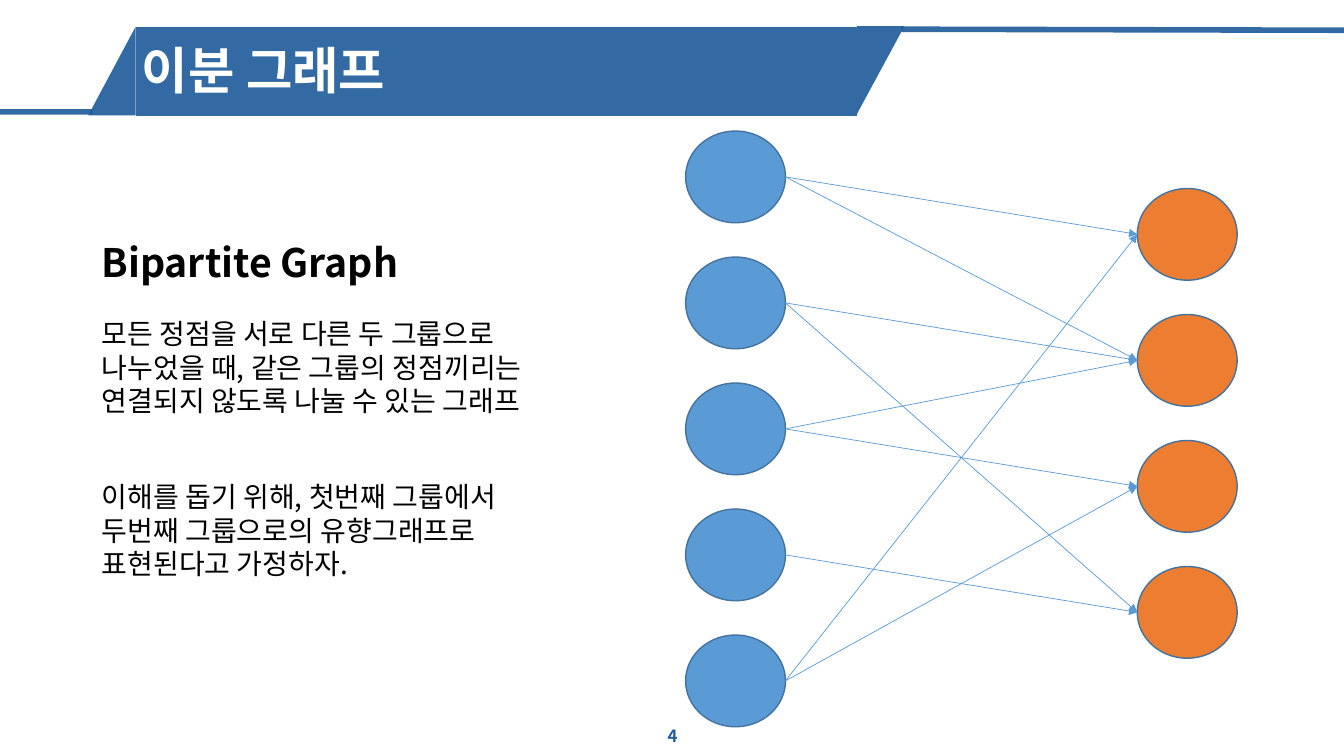
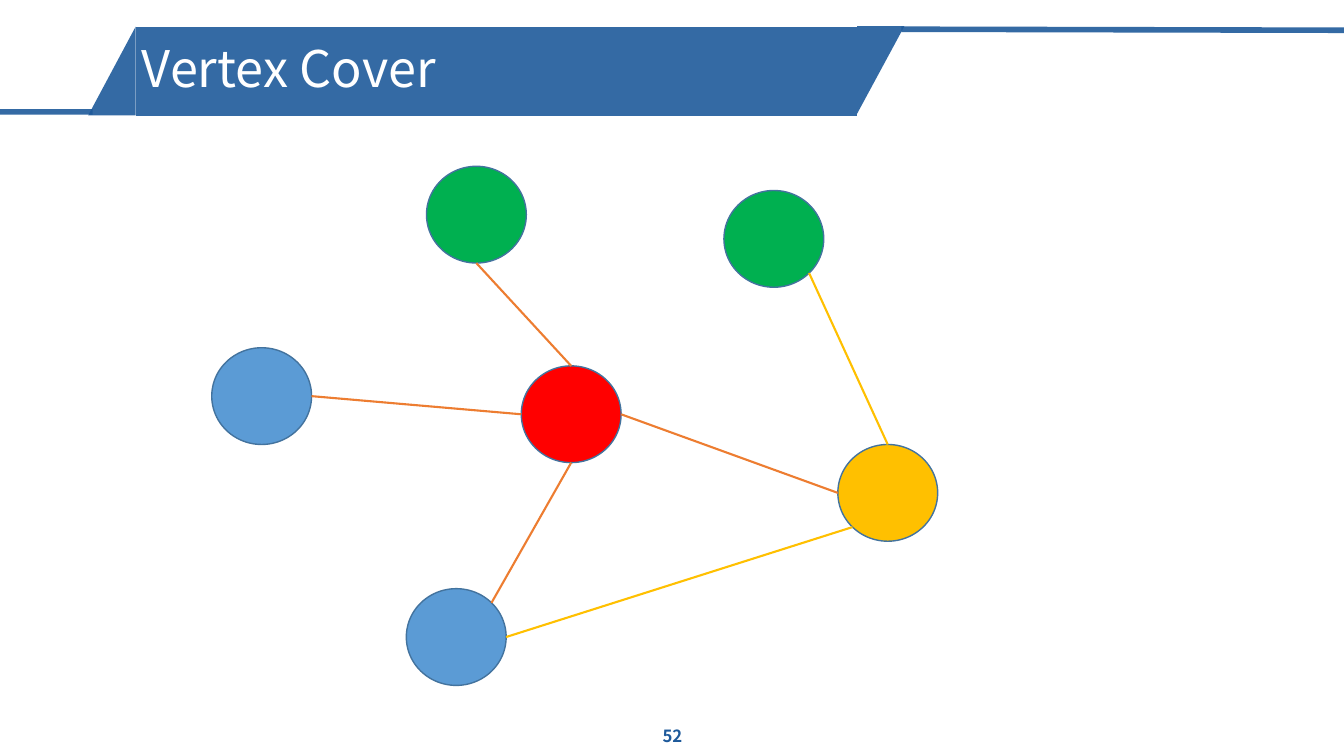
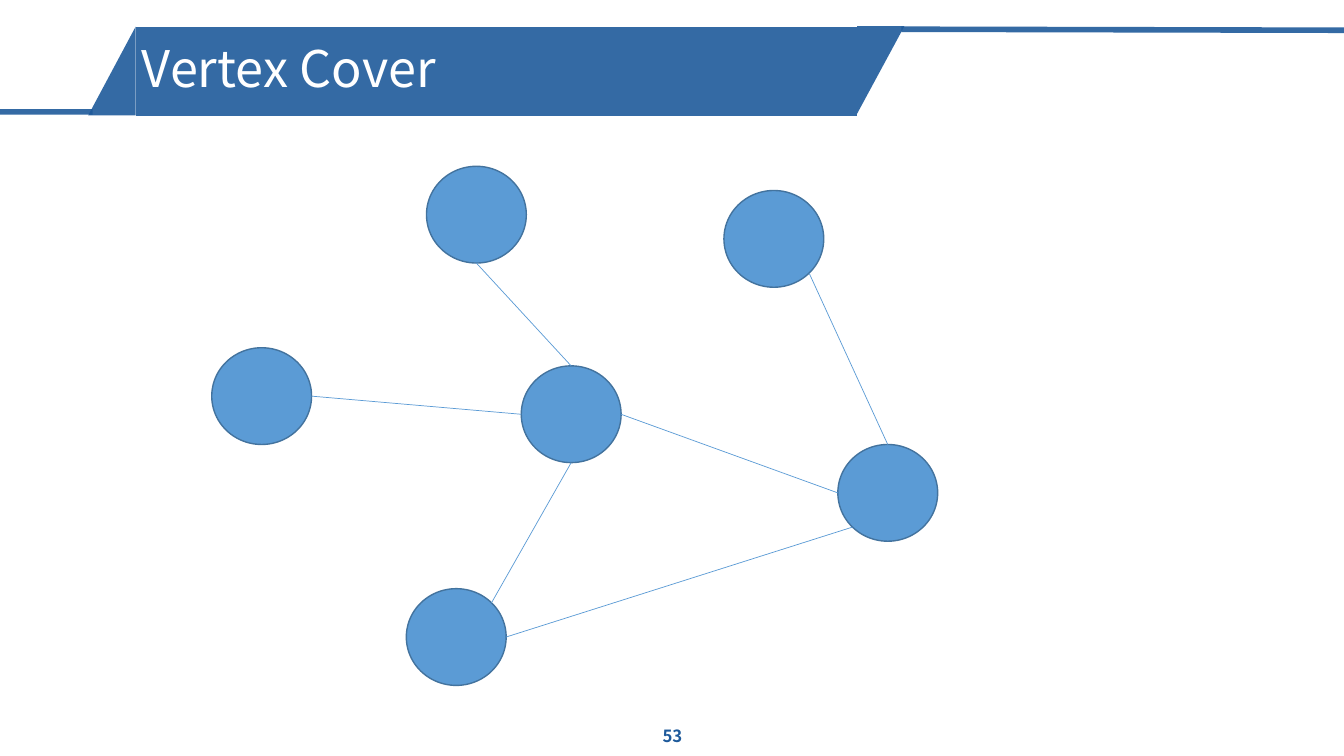
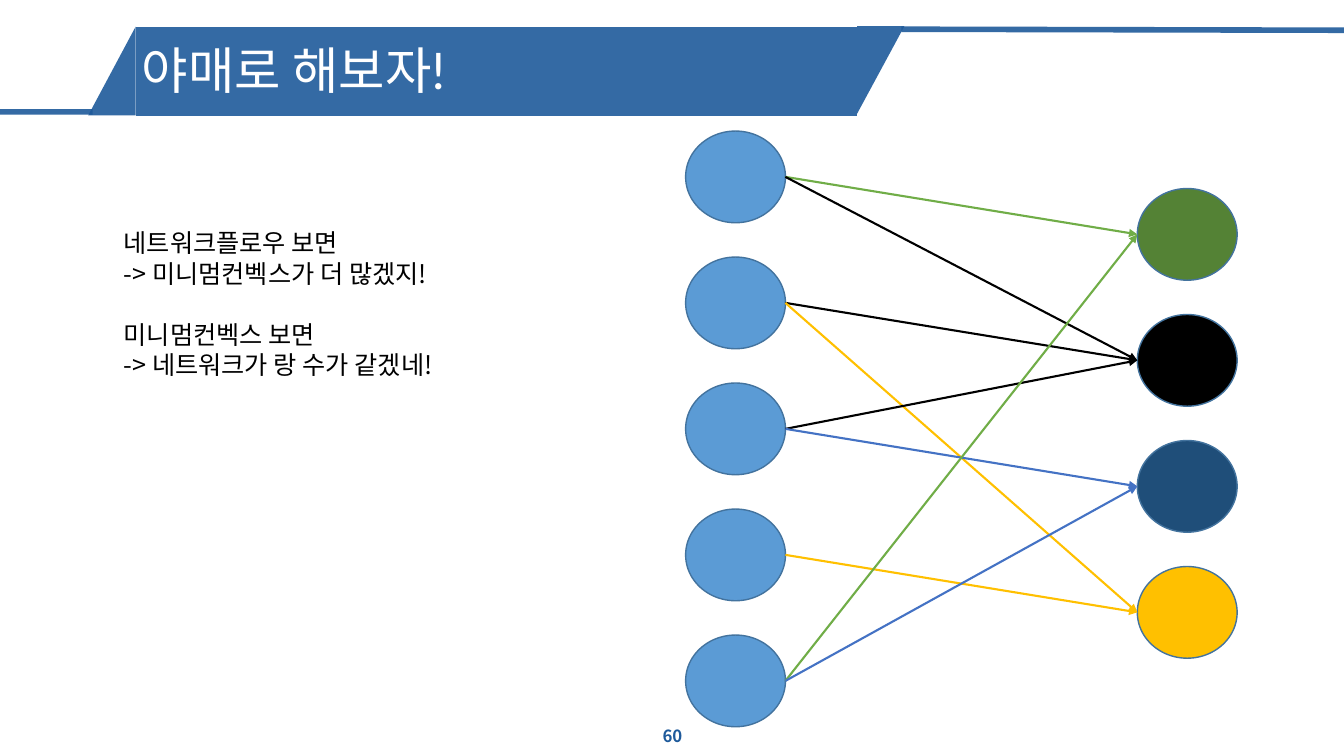
"""Build four slides on bipartite graphs and vertex covers."""
from math import cos, radians, sin

from lxml.etree import SubElement
from pptx import Presentation
from pptx.dml.color import RGBColor as RGB
from pptx.enum.shapes import MSO_CONNECTOR as Link, MSO_SHAPE as Form
from pptx.enum.text import MSO_ANCHOR as Anchor, PP_ALIGN as Align
from pptx.oxml.ns import qn
from pptx.util import Inches, Pt

NAVY = RGB(0x1E, 0x5A, 0x9B)
BLUE = RGB(0x5B, 0x9B, 0xD5)
RIM = RGB(0x43, 0x73, 0x9E)
ORANGE = RGB(0xED, 0x7D, 0x31)
GREEN = RGB(0x00, 0xB0, 0x50)
RED = RGB(0xFF, 0x00, 0x00)
GOLD = RGB(0xFF, 0xC0, 0x00)
MOSS = RGB(0x54, 0x82, 0x35)
LEAF = RGB(0x70, 0xAD, 0x47)
DEEP = RGB(0x1F, 0x4E, 0x79)
ROYAL = RGB(0x44, 0x72, 0xC4)
BLACK = RGB(0x00, 0x00, 0x00)
WHITE = RGB(0xFF, 0xFF, 0xFF)

SANS = "Noto Sans CJK KR"
LATO = "Lato"

WIDE = 0.99
PITCH = 1.25
LEFT, RIGHT = (6.8, 1.3), (11.28, 1.87)
ARROWS = [(0, 0), (0, 1), (1, 1), (1, 3), (2, 1),
          (2, 2), (3, 3), (4, 0), (4, 2)]

SPOTS = {"top": (4.23, 1.65), "west": (2.1, 3.45), "hub": (5.17, 3.63),
         "south": (4.03, 5.84), "east": (8.31, 4.41), "north": (7.18, 1.89)}
EDGES = [("hub", 180, "west", 0), ("hub", 90, "south", -45),
         ("north", 45, "east", -90), ("hub", 0, "east", 180),
         ("east", 135, "south", 0), ("top", 90, "hub", -90)]


def fade(item):
    """Make the colours of a shape 90 percent opaque."""
    for tint in item._element.iter(qn("a:srgbClr")):
        SubElement(tint, qn("a:alpha"), val="90000")


def add_form(slide, form, box, fill, rim=None):
    """Add a filled preset shape, with a rim if one is given."""
    shape = slide.shapes.add_shape(form, *map(Inches, box))
    shape.shadow.inherit = False
    shape.fill.solid()
    shape.fill.fore_color.rgb = fill
    if rim is None:
        shape.line.fill.background()
    else:
        shape.line.color.rgb = rim
        shape.line.width = Pt(1)
    return shape


def add_line(slide, start, end, color, width, arrow=False):
    """Add a straight line, with an arrowhead at its end if asked."""
    line = slide.shapes.add_connector(
        Link.STRAIGHT, *map(Inches, (*start, *end)))
    line.line.color.rgb = color
    line.line.width = Pt(width)
    props = line._element.spPr
    if arrow:
        SubElement(props.find(qn("a:ln")), qn("a:tailEnd"), type="triangle")
    SubElement(props, qn("a:effectLst"))
    return line


def add_text(slide, box, anchor=Anchor.TOP):
    """Add an empty wrapping text box and return its frame."""
    frame = slide.shapes.add_textbox(*map(Inches, box)).text_frame
    frame.word_wrap = True
    frame.vertical_anchor = anchor
    return frame


def style(para, text, size, color=BLACK, bold=False, face=SANS):
    """Fill a paragraph and set its font."""
    para.text = text
    font = para.font
    font.size, font.bold, font.name = Pt(size), bold, face
    font.color.rgb = color
    SubElement(font._element, qn("a:ea"), typeface=SANS)


def add_note(slide, box, rows):
    """Add body text from rows of text, size, weight and space before."""
    frame = add_text(slide, box)
    for i, (text, size, bold, gap) in enumerate(rows):
        para = frame.add_paragraph() if i else frame.paragraphs[0]
        style(para, text, size, bold=bold)
        para.line_spacing = Pt(1.2 * size)
        para.space_before = Pt(gap)


def add_page(deck, title, number, top=0.32, face=LATO, bold=False):
    """Add a slide with its title band and page number."""
    slide = deck.slides.add_slide(deck.slide_layouts[6])
    end = add_form(slide, Form.RIGHT_TRIANGLE, (8.3, 0.46, 0.87, 0.47), NAVY)
    end.rotation = 90
    low = add_line(slide, (0.92, 1.11), (-0.03, 1.11), NAVY, 4)
    tip = add_form(slide, Form.RIGHT_TRIANGLE, (0.67, 0.47, 0.88, 0.47), NAVY)
    tip.rotation = 270
    high = add_line(slide, (13.33, 0.3), (8.94, 0.29), NAVY, 4)
    band = add_form(slide, Form.RECTANGLE, (1.35, 0.27, 7.15, 0.88), NAVY)
    for part in (end, low, tip, high, band):
        fade(part)
    foot = add_text(slide, (5.17, 7.1, 3, 0.4), Anchor.MIDDLE).paragraphs[0]
    style(foot, str(number), 12, NAVY, True)
    foot.alignment = Align.CENTER
    head = add_text(slide, (1.31, top, 7.15, 0.81), Anchor.MIDDLE).paragraphs[0]
    style(head, title, 36, WHITE, bold, face)
    head.line_spacing = 0.9
    head.space_before = Pt(10)
    return slide


def add_node(slide, spot, tall, fill):
    """Add one round vertex."""
    add_form(slide, Form.OVAL, (*spot, WIDE, tall), fill, RIM)


def rim_at(spot, tall, angle):
    """Return the point on a vertex rim at a clockwise angle from the right."""
    turn = radians(angle)
    return (spot[0] + WIDE / 2 * (1 + cos(turn)),
            spot[1] + tall / 2 * (1 + sin(turn)))


def add_pairs(slide, fills, inks, width):
    """Draw the two-column graph, colouring each arrow by its target."""
    tall = 0.91
    lefts = [(LEFT[0], LEFT[1] + PITCH * i) for i in range(5)]
    rights = [(RIGHT[0], RIGHT[1] + PITCH * i) for i in range(4)]
    for spot, fill in zip(lefts + rights, [BLUE] * 5 + fills):
        add_node(slide, spot, tall, fill)
    for i, j in ARROWS:
        add_line(slide, rim_at(lefts[i], tall, 0),
                 rim_at(rights[j], tall, 180), inks[j], width, True)


def add_web(slide, fills, inks, width):
    """Draw the six-vertex graph."""
    tall = 0.96
    for name, spot in SPOTS.items():
        add_node(slide, spot, tall, fills.get(name, BLUE))
    for (a, out, b, into), ink in zip(EDGES, inks):
        add_line(slide, rim_at(SPOTS[a], tall, out),
                 rim_at(SPOTS[b], tall, into), ink, width)


def main():
    """Build and save the deck."""
    deck = Presentation()
    deck.slide_width, deck.slide_height = Inches(13.33), Inches(7.5)

    slide = add_page(deck, "이분 그래프", 4, bold=True)
    add_pairs(slide, [ORANGE] * 4, [BLUE] * 4, 0.5)
    add_note(slide, (0.91, 2.32, 4.76, 1.88), [
        ("Bipartite Graph", 28, True, 0),
        ("모든 정점을 서로 다른 두 그룹으로 나누었을 때, 같은 그룹의 "
         "정점끼리는 연결되지 않도록 나눌 수 있는 그래프", 20, False, 22)])
    add_note(slide, (0.91, 4.71, 4.5, 1.11), [
        ("이해를 돕기 위해, 첫번째 그룹에서 두번째 그룹으로의 "
         "유향그래프로 표현된다고 가정하자.", 20, False, 0)])

    slide = add_page(deck, "Vertex Cover", 52, 0.3, SANS)
    add_web(slide, {"top": GREEN, "north": GREEN, "hub": RED, "east": GOLD},
            [ORANGE, ORANGE, GOLD, ORANGE, GOLD, ORANGE], 1.5)

    slide = add_page(deck, "Vertex Cover", 53, 0.3, SANS)
    add_web(slide, {}, [BLUE] * 6, 0.5)

    slide = add_page(deck, "야매로 해보자!", 60)
    add_pairs(slide, [MOSS, BLACK, DEEP, GOLD],
              [LEAF, BLACK, ROYAL, GOLD], 1.5)
    add_note(slide, (1.13, 2.21, 3.74, 1.62), [
        ("네트워크플로우 보면", 18, False, 0),
        ("-> 미니멈컨벡스가 더 많겠지!", 18, False, 0),
        ("미니멈컨벡스 보면", 18, False, 22),
        ("-> 네트워크가 랑 수가 같겠네!", 18, False, 0)])

    deck.save("out.pptx")


if __name__ == "__main__":
    main()
